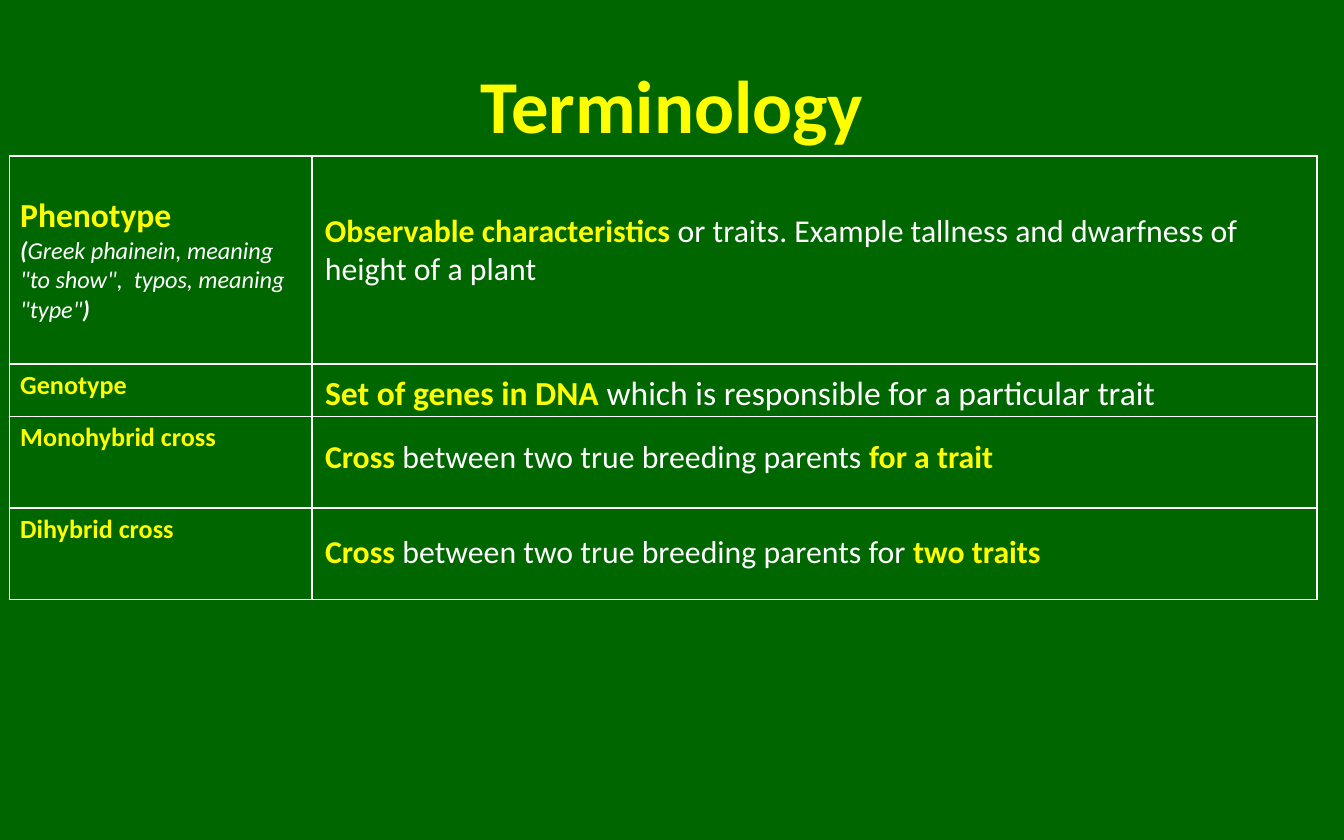
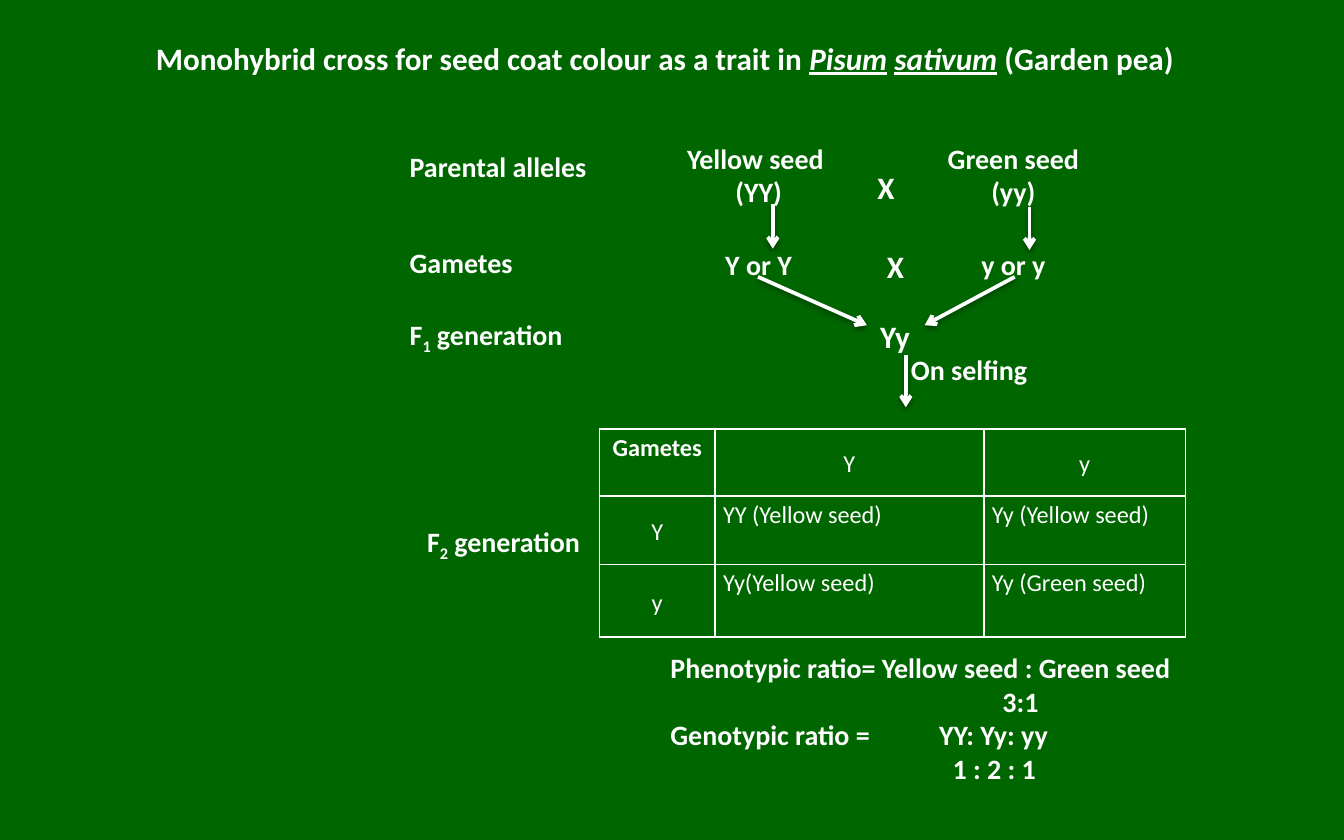
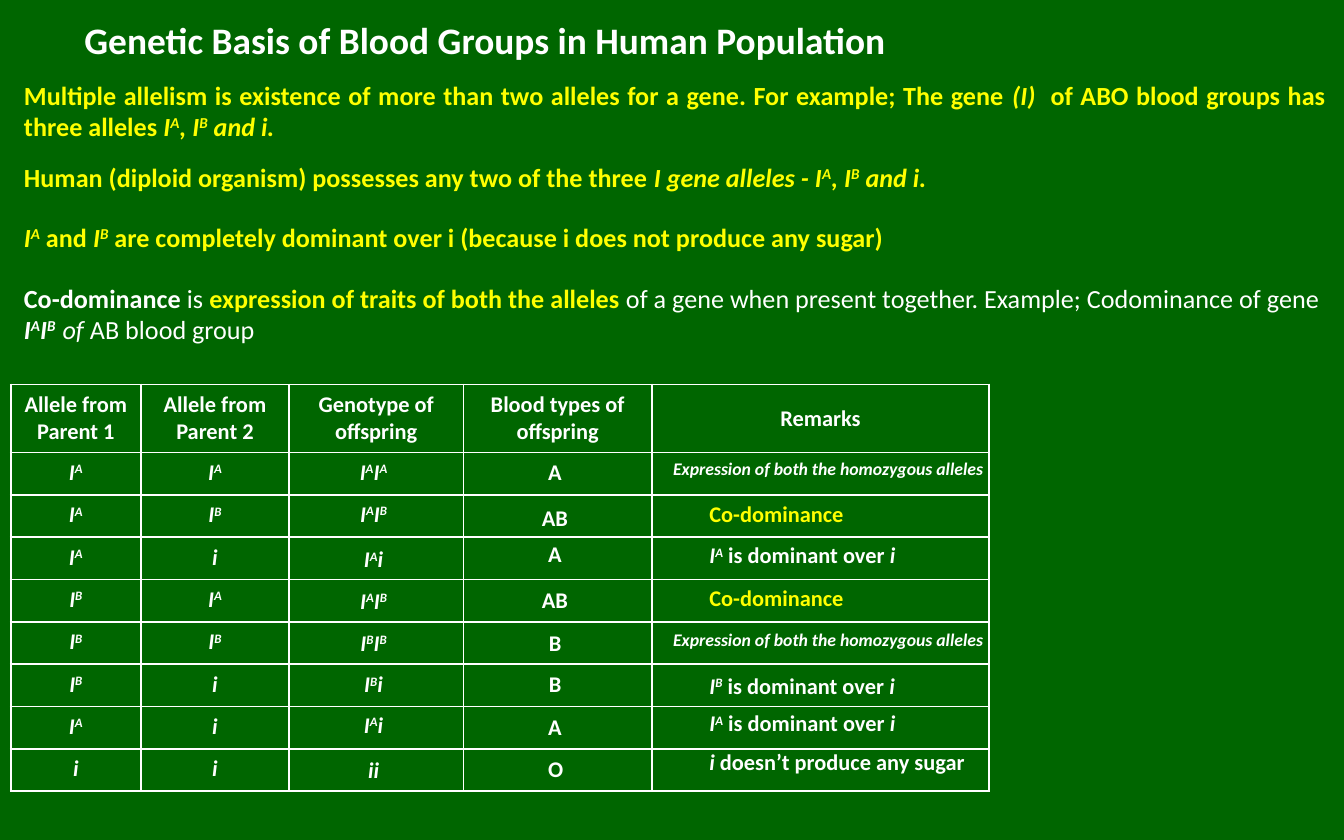
from dataclasses import dataclass
from itertools import groupby

from lxml import etree
from pptx import Presentation
from pptx.dml.color import RGBColor
from pptx.enum.shapes import MSO_CONNECTOR
from pptx.enum.text import MSO_ANCHOR, MSO_AUTO_SIZE, PP_ALIGN
from pptx.oxml.ns import qn
from pptx.util import Inches, Pt

LEFT, CENTER, JUSTIFY = PP_ALIGN.LEFT, PP_ALIGN.CENTER, PP_ALIGN.JUSTIFY
TOP, MIDDLE = MSO_ANCHOR.TOP, MSO_ANCHOR.MIDDLE
FIT_SHAPE, NO_FIT = MSO_AUTO_SIZE.SHAPE_TO_FIT_TEXT, MSO_AUTO_SIZE.NONE
STRAIGHT = MSO_CONNECTOR.STRAIGHT
TITLE_ONLY = 5

GREEN, YELLOW, WHITE, BLACK = "006600", "FFFF00", "FFFFFF", "000000"


def rgb(value):
    return RGBColor.from_string(value)


def add_xml(parent, tag, **attributes):
    values = {key: str(value) for key, value in attributes.items()}
    return etree.SubElement(parent, qn(tag), values)


@dataclass
class Para:
    """Run flags: b bold, i italic, u underline, y yellow, ^ super, _ sub."""
    runs: list
    size: float
    align: int = LEFT
    indent: float = 0
    tab: float = 0
    spacing: float = 1


def para(text, size, flags="b", align=LEFT, **layout):
    return Para([(text, flags)], size, align, **layout)


def alleles(text, flags="bi"):
    return [("".join(letters), flags + "^" * raised)
            for raised, letters in groupby(text, lambda letter: letter in "AB")]


class Deck:
    font = "Calibri"

    def __init__(self):
        self.prs = Presentation()
        self.prs.slide_width, self.prs.slide_height = Inches(10), Inches(6.25)
        fill = self.prs.slide_master.background.fill
        fill.solid()
        fill.fore_color.rgb = rgb(GREEN)
        self.slide = None

    def new_slide(self):
        layout = self.prs.slide_layouts[TITLE_ONLY]
        self.slide = self.prs.slides.add_slide(layout)

    def add_paras(self, frame, paras):
        for index, content in enumerate(paras):
            line = frame.paragraphs[0] if index == 0 else frame.add_paragraph()
            props = line._p.get_or_add_pPr()
            if content.indent:
                props.set("marL", str(Inches(content.indent)))
            if content.tab:
                stops = add_xml(props, "a:tabLst")
                add_xml(stops, "a:tab", pos=Inches(content.tab), algn="l")
            line.alignment = content.align
            if content.spacing != 1:
                line.line_spacing = content.spacing
            for text, flags in content.runs:
                run = line.add_run()
                run.text = text
                font = run.font
                font.name, font.size = self.font, Pt(content.size)
                font.bold, font.italic = "b" in flags, "i" in flags
                font.underline = "u" in flags
                font.color.rgb = rgb(YELLOW if "y" in flags else WHITE)
                if "^" in flags or "_" in flags:
                    shift = "30000" if "^" in flags else "-25000"
                    run._r.get_or_add_rPr().set("baseline", shift)

    def title(self, at, content, wrap=True):
        title = self.slide.shapes.title
        title.left, title.top, title.width, title.height = map(Inches, at)
        frame = title.text_frame
        frame.word_wrap, frame.auto_size = wrap, NO_FIT
        frame.vertical_anchor = MIDDLE
        self.add_paras(frame, [content])

    def text(self, at, *paras, wrap=True):
        box = self.slide.shapes.add_textbox(*map(Inches, at))
        box.text_frame.word_wrap = wrap
        box.text_frame.auto_size = FIT_SHAPE
        self.add_paras(box.text_frame, paras)

    def arrow(self, start, end):
        ends = map(Inches, (*start, *end))
        arrow = self.slide.shapes.add_connector(STRAIGHT, *ends)
        arrow.line.color.rgb, arrow.line.width = rgb(WHITE), Pt(2)
        props = arrow._element.spPr
        add_xml(props.find(qn("a:ln")), "a:tailEnd", type="arrow")
        shadow = add_xml(add_xml(props, "a:effectLst"), "a:outerShdw",
                         blurRad=Pt(3.1), dist=Pt(1.6), dir=5400000, rotWithShape=0)
        color = add_xml(shadow, "a:srgbClr", val=BLACK)
        add_xml(color, "a:alpha", val=38000)

    def table(self, left, top, widths, heights, cells, margins=(0.1, 0.05)):
        frame = self.slide.shapes.add_table(
            len(heights), len(widths), Inches(left), Inches(top),
            Inches(sum(widths)), Inches(sum(heights)))
        table = frame.table
        table.first_row = table.horz_banding = False
        for column, width in zip(table.columns, widths):
            column.width = Inches(width)
        for row, height in zip(table.rows, heights):
            row.height = Inches(height)
        for r in range(len(heights)):
            for c in range(len(widths)):
                paras, anchor = cells.get((r, c), ([], TOP))
                self.cell(table.cell(r, c), paras, anchor, margins)

    def cell(self, cell, paras, anchor, margins):
        cell.margin_left = cell.margin_right = Inches(margins[0])
        cell.margin_top = cell.margin_bottom = Inches(margins[1])
        cell.vertical_anchor = anchor
        props = cell._tc.get_or_add_tcPr()
        for side in ("a:lnL", "a:lnR", "a:lnT", "a:lnB"):
            fill = add_xml(add_xml(props, side, w=Pt(1)), "a:solidFill")
            add_xml(fill, "a:srgbClr", val=WHITE)
        cell.fill.background()
        if paras:
            self.add_paras(cell.text_frame, paras)
        else:
            add_xml(cell.text_frame.paragraphs[0]._p, "a:endParaRPr", sz=1200)


def terminology(deck):
    deck.new_slide()
    deck.title((0.5, 0.25, 9, 1.04), para("Terminology", 40, "by", CENTER))
    origin = 'Greek phainein, meaning "to show",  typos, meaning "type"'
    terms = {(0, 0): ([para("Phenotype", 18, "by"),
                       Para([("(", "bi"), (origin, "i"), (")", "bi")], 13)], MIDDLE)}
    for row, term in enumerate(("Genotype", "Monohybrid cross", "Dihybrid cross"), 1):
        terms[row, 0] = [para(term, 14, "by")], TOP
    deck.table(0.07, 1.16, [2.25, 7.48], [1.55, 0.39, 0.68, 0.68], terms, (0.08, 0.04))

    definitions = [
        (1.52, 7, 0.67, 17, [
            ("Observable characteristics ", "by"),
            ("or traits. Example tallness and dwarfness of height of a plant", "")]),
        (2.72, 7.22, 0.4, 18, [
            ("Set of genes in DNA", "by"),
            (" which is responsible for a particular trait", "")]),
        (3.2, 7.18, 0.39, 17, [
            ("Cross", "by"), (" between two true breeding parents ", ""),
            ("for a trait", "by")]),
        (3.91, 7.48, 0.39, 17, [
            ("Cross", "by"), (" between two true breeding parents for ", ""),
            ("two traits", "by")]),
    ]
    for top, width, height, size, runs in definitions:
        deck.text((2.32, top, width, height), Para(runs, size))


def monohybrid_cross(deck):
    deck.new_slide()
    deck.title((1.06, 0.24, 7.85, 0.38), Para([
        ("Monohybrid cross for seed coat colour as a trait in ", "b"),
        ("Pisum", "biu"), (" ", "bi"), ("sativum", "biu"),
        (" (Garden pea)", "b")], 16.7), wrap=False)

    stages = [
        (2.95, 1.06, [("Parental alleles", "b")]),
        (2.95, 1.78, [("Gametes", "b")]),
        (2.95, 2.31, [("F", "b"), ("1", "b_"), (" generation", "b")]),
        (3.08, 3.85, [("F", "b"), ("2", "b_"), (" generation", "b")]),
    ]
    for left, top, runs in stages:
        deck.text((left, top, 1.57, 0.35), Para(runs, 15))

    parents = [
        (4.86, 1.57, ["Yellow seed ", "(YY)"], "Y or Y"),
        (6.82, 1.44, ["Green seed (yy)"], "y or y"),
    ]
    for left, width, seed, gametes in parents:
        deck.text((left, 1, width, 0.61), *[para(line, 15, align=CENTER) for line in seed])
        deck.text((left, 1.79, width, 0.35), para(gametes, 15, align=CENTER))

    marks = [
        ((6.43, 1.2, 0.33, 0.38), "X", 16.7),
        ((6.5, 1.79, 0.33, 0.38), "X", 16.7),
        ((6.45, 2.31, 0.42, 0.38), "Yy", 16.7),
        ((6.68, 2.57, 1.07, 0.35), "On selfing", 15),
    ]
    for at, mark, size in marks:
        deck.text(at, para(mark, size), wrap=False)

    for start, end in [((5.75, 1.52), (5.75, 1.85)), ((7.66, 1.54), (7.66, 1.86)),
                       ((6.74, 2.64), (6.74, 3.03)), ((7.55, 2.06), (6.88, 2.42)),
                       ((5.64, 2.06), (6.45, 2.42))]:
        deck.arrow(start, end)

    punnett = [["Gametes", "Y", "y"],
               ["Y", "YY (Yellow seed)", "Yy (Yellow seed)"],
               ["y", "Yy(Yellow seed)", "Yy (Green seed)"]]
    cells = {}
    for r, row in enumerate(punnett):
        for c, label in enumerate(row):
            corner, offspring = r == c == 0, r > 0 and c > 0
            content = para(label, 13, "b" if corner else "",
                           JUSTIFY if offspring else CENTER, spacing=1.15)
            cells[r, c] = [content], TOP if corner or offspring else MIDDLE
    deck.table(4.46, 3.19, [0.86, 2, 1.5], [0.5, 0.51, 0.54], cells, (0.06, 0))

    deck.text((4.89, 4.79, 4.17, 1.11),
              para("Phenotypic ratio= Yellow seed : Green seed", 15),
              para("3:1", 15, indent=2.47),
              para("Genotypic ratio =\tYY: Yy: yy", 15, tab=2),
              para("1 : 2 : 1", 15, indent=2.1))


def blood_groups(deck):
    deck.new_slide()
    deck.title((0.34, 0.05, 6.54, 0.49),
               para("Genetic Basis of Blood Groups in Human Population", 20, align=CENTER))

    headings = ["Allele from Parent 1", "Allele from Parent 2", "Genotype of offspring",
                "Blood types of offspring", "Remarks"]
    cells = {(0, c): ([para(heading, 12, align=CENTER)],
                      MIDDLE if heading == "Remarks" else TOP)
             for c, heading in enumerate(headings)}
    pairs = ["IA IA", "IA IB", "IA i", "IB IA", "IB IB", "IB i", "IA i", "i i"]
    for r, pair in enumerate(pairs, 1):
        for c, allele in enumerate(pair.split()):
            cells[r, c] = [Para(alleles(allele), 12, CENTER)], TOP
    deck.table(0.08, 2.86, [0.97, 1.1, 1.3, 1.4, 2.51],
               [0.5] + [2.52 / len(pairs)] * len(pairs), cells)

    facts = [
        (0.54, 9.88, 0.57, JUSTIFY, [
            ("Multiple allelism is existence of more than two alleles for a gene. "
             "For example; The gene ", "by"),
            ("(I)  ", "biy"), ("of ABO blood groups has three alleles ", "by"),
            *alleles("IA, IB and i.", "biy")]),
        (1.15, 7, 0.34, JUSTIFY, [
            ("Human (diploid organism) possesses any two of the three ", "by"),
            *alleles("I gene alleles - IA, IB and i.", "biy")]),
        (1.6, 6.67, 0.34, LEFT, [
            *alleles("IA", "biy"), (" and ", "by"), *alleles("IB", "biy"),
            (" are completely dominant over i (because i does not produce any sugar)",
             "by")]),
        (2.05, 9.84, 0.57, JUSTIFY, [
            ("Co-dominance", "b"), (" is ", ""),
            ("expression of traits of both the alleles", "by"),
            (" of a gene when present together. Example; Codominance of gene ", ""),
            *alleles("IAIB"), ("  ", "bi^"), ("of ", "i"), ("AB blood group", "")]),
    ]
    for top, width, height, align, runs in facts:
        deck.text((0.08, top, width, height), Para(runs, 14, align))

    genotype_tops = [3.36, 3.67, 4.01, 4.32, 4.63, 4.94, 5.24, 5.58]
    for pair, top in zip(pairs, genotype_tops):
        genotype = pair.replace(" ", "")
        if genotype == "IBIA":
            genotype = "IAIB"
        width = 0.21 + 0.05 * len(genotype)
        deck.text((2.78 - width / 2, top, width, 0.3),
                  Para(alleles(genotype), 12, CENTER), wrap=False)

    blood_types = [("A", 3.36), ("AB", 3.7), ("A", 3.97), ("AB", 4.31),
                   ("B", 4.63), ("B", 4.94), ("A", 5.26), ("O", 5.57)]
    for blood_type, top in blood_types:
        width = 0.2 + 0.1 * len(blood_type)
        deck.text((4.13 - width / 2, top, width, 0.3),
                  para(blood_type, 12, align=CENTER), wrap=False)

    homozygous = para("Expression of both the homozygous alleles", 9.5, "bi", indent=0.15)
    codominance = para("Co-dominance", 12, "by", indent=0.42)
    a_dominant, b_dominant = [
        Para([*alleles(allele), (" is dominant over ", "b"), ("i", "bi")], 12, indent=0.42)
        for allele in ("IA", "IB")]
    no_sugar = Para([("i ", "bi"), ("doesn’t produce any sugar", "b")], 12, indent=0.42)
    remarks = [
        (3.36, 2.68, 0.26, homozygous), (3.67, 1.63, 0.3, codominance),
        (3.98, 2.04, 0.3, a_dominant), (4.3, 1.63, 0.3, codominance),
        (4.63, 2.68, 0.26, homozygous), (4.95, 2.04, 0.3, b_dominant),
        (5.23, 2.04, 0.3, a_dominant), (5.52, 2.55, 0.3, no_sugar),
    ]
    for top, width, height, remark in remarks:
        deck.text((4.76, top, width, height), remark, wrap=False)


def main():
    deck = Deck()
    terminology(deck)
    monohybrid_cross(deck)
    blood_groups(deck)
    deck.prs.save("out.pptx")


if __name__ == "__main__":
    main()
